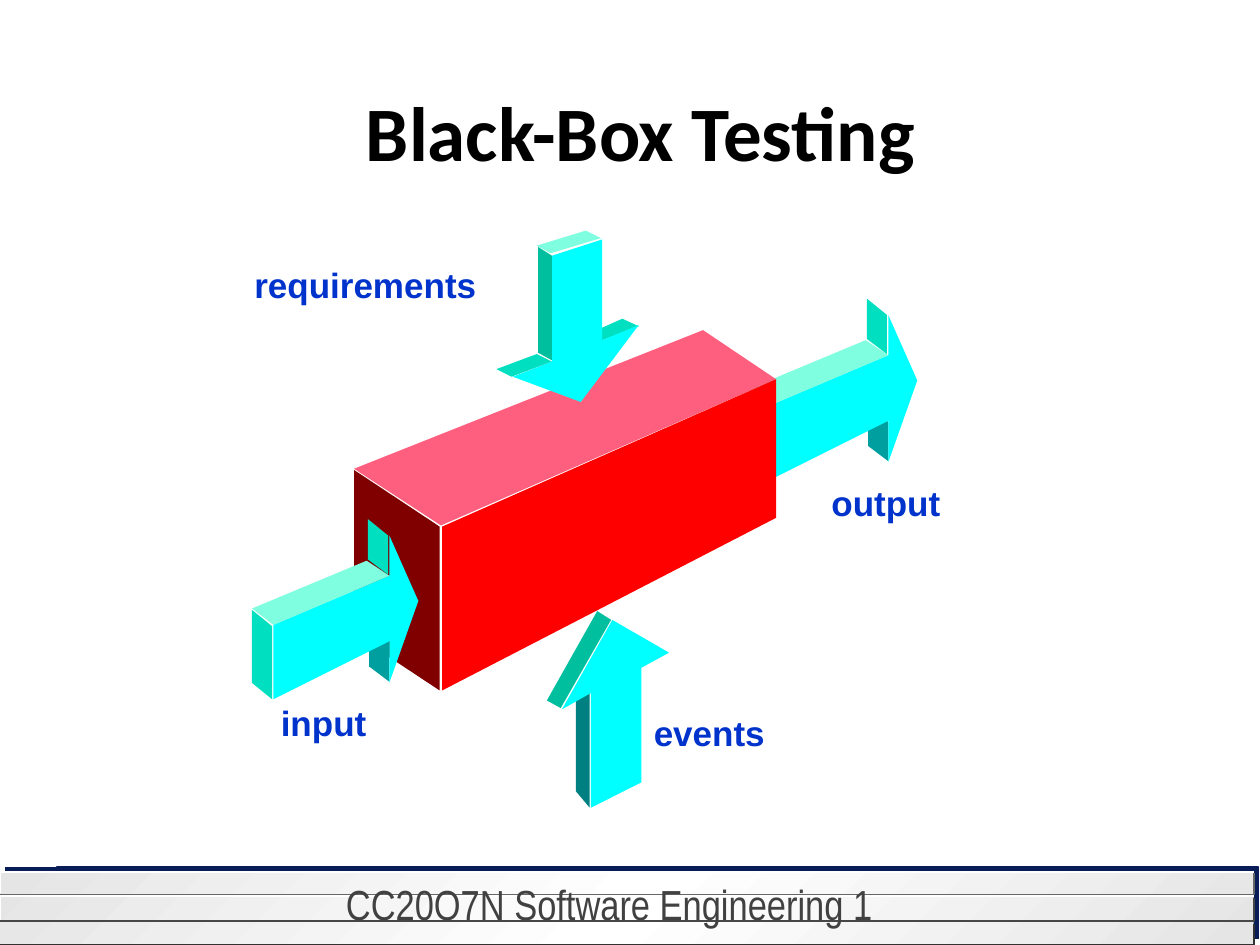
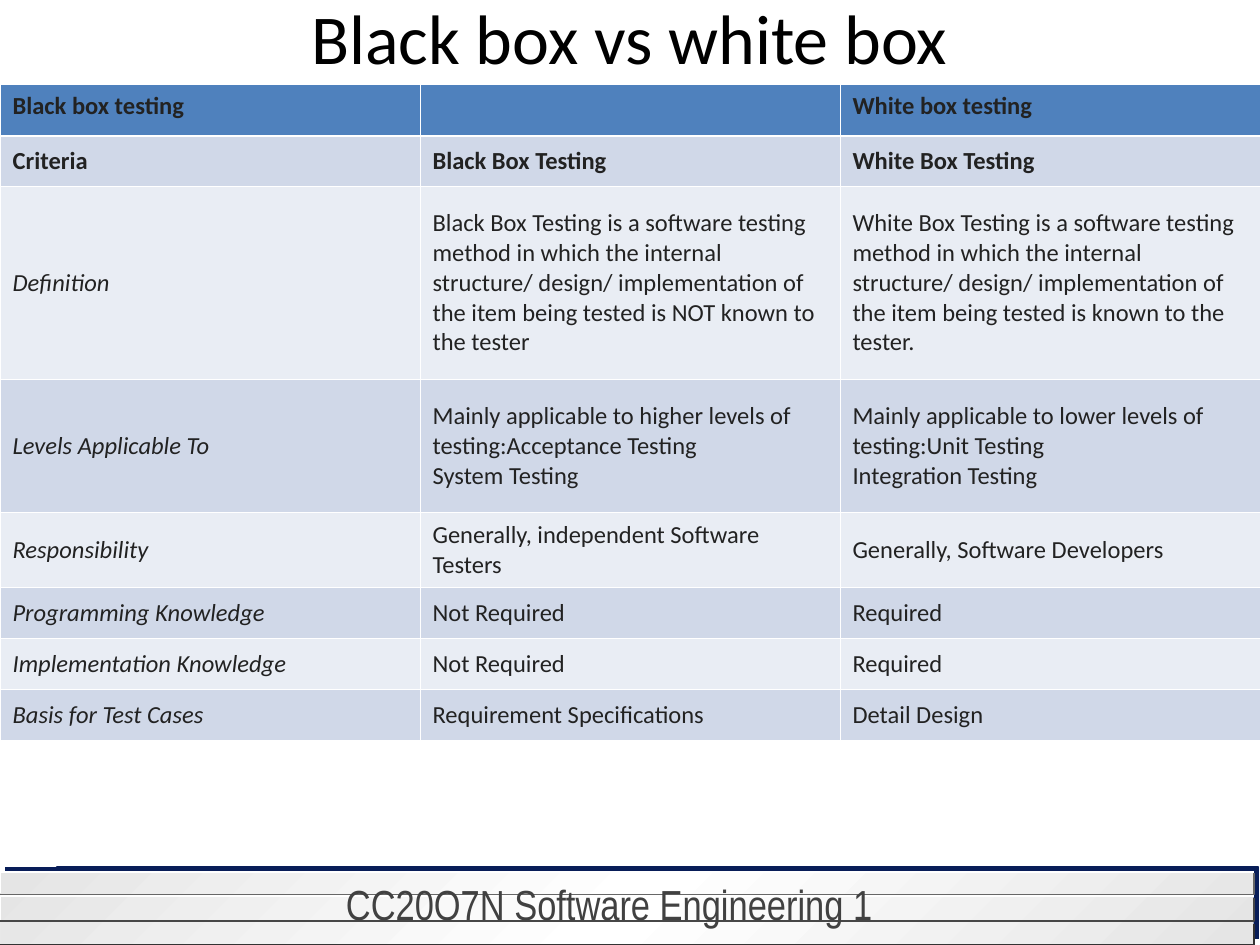
from pptx import Presentation
from pptx.dml.color import RGBColor
from pptx.enum.shapes import MSO_SHAPE as Shape
from pptx.enum.text import MSO_ANCHOR as Anchor, MSO_AUTO_SIZE as AutoSize, PP_ALIGN as Align
from pptx.oxml import parse_xml
from pptx.util import Inches, Pt

BLACK = RGBColor(0x00, 0x00, 0x00)
WHITE = RGBColor(0xFF, 0xFF, 0xFF)
FOOTER_GREY = RGBColor(0x41, 0x41, 0x41)
BAND_EDGE = RGBColor(0xE5, 0xE5, 0xE5)
BAND_SHADOW = RGBColor(0x08, 0x1D, 0x58)
PALE_LINE = RGBColor(0xE8, 0xE8, 0xE8)
MID_LINE = RGBColor(0x67, 0x67, 0x67)
DIM_LINE = RGBColor(0x47, 0x47, 0x47)
DARK_LINE = RGBColor(0x33, 0x33, 0x33)
LABEL_BLUE = RGBColor(0x00, 0x33, 0xCC)
CYAN = RGBColor(0x00, 0xFF, 0xFF)
MINT = RGBColor(0x7F, 0xFF, 0xDF)
TURQUOISE = RGBColor(0x00, 0xDF, 0xBF)
SEA_GREEN = RGBColor(0x00, 0xBF, 0x9F)
TEAL = RGBColor(0x00, 0x9F, 0x9F)
DEEP_TEAL = RGBColor(0x00, 0x80, 0x80)
RED = RGBColor(0xFF, 0x00, 0x00)
PINK = RGBColor(0xFF, 0x5F, 0x7F)
MAROON = RGBColor(0x80, 0x00, 0x00)
HEADER_BLUE = RGBColor(0x4F, 0x81, 0xBD)
ROW_DARK = RGBColor(0xD0, 0xD8, 0xE8)
ROW_LIGHT = RGBColor(0xE9, 0xED, 0xF4)
CELL_TEXT = RGBColor(0x22, 0x22, 0x22)

DRAWING_NS = 'xmlns:a="http://schemas.openxmlformats.org/drawingml/2006/main"'

FOOTER = "CC20O7N Software Engineering 1"
BAND_RIGHT = 9.95
BAND_HIGHLIGHTS = [(6.92, 7.09, WHITE), (7.11, 7.3, WHITE), (7.31, 7.49, PALE_LINE)]
BAND_LOWLIGHTS = [(6.93, 7.1, MID_LINE), (7.13, 7.31, DIM_LINE), (7.33, 7.5, DARK_LINE)]

FLOW_ARROW = [
    (TEAL, [(0.92, 1.16), (0.92, 0.85), (0.76, 0.72), (0.76, 1.04)]),
    (CYAN, [(0.92, 0.32), (0, 0.71), (0, 1.3), (0.92, 0.84), (0.92, 1.17),
            (1.15, 0.52), (0.92, 0)]),
    (TURQUOISE, [(-0.01, 0.72), (-0.01, 1.3), (-0.17, 1.17), (-0.17, 0.59)]),
    (MINT, [(-0.17, 0.58), (0, 0.71), (0.92, 0.32), (0.74, 0.2)]),
    (TURQUOISE, [(0.91, 0), (0.75, -0.13), (0.75, 0.19), (0.91, 0.31)]),
]
EVENTS_ARROW = [
    (DEEP_TEAL, [(4.68, 6.41), (4.68, 5.5), (4.57, 5.44), (4.57, 6.28)]),
    (CYAN, [(4.86, 4.92), (5.31, 5.18), (5.09, 5.3), (5.09, 6.21), (4.69, 6.41),
            (4.69, 5.5), (4.46, 5.63)]),
    (SEA_GREEN, [(4.45, 5.62), (4.34, 5.56), (4.74, 4.85), (4.85, 4.92)]),
]
BOX = [
    (MAROON, [(2.81, 3.73), (3.49, 4.18), (3.49, 5.48), (2.81, 5.03)]),
    (PINK, [(2.81, 3.72), (3.5, 4.17), (6.16, 3.01), (5.58, 2.62)]),
    (RED, [(3.51, 4.18), (3.51, 5.48), (6.16, 4.11), (6.16, 3.01)]),
]
REQUIREMENTS_ARROW = [
    (MINT, [(4.26, 1.95), (4.37, 2.01), (4.77, 1.89), (4.65, 1.83)]),
    (TURQUOISE, [(4.78, 2.7), (5.07, 2.59), (4.94, 2.53), (4.67, 2.65)]),
    (CYAN, [(4.38, 2.03), (4.78, 1.9), (4.78, 2.7), (5.07, 2.58), (4.61, 3.19),
            (4.07, 2.99), (4.38, 2.87)]),
    (TURQUOISE, [(4.06, 2.99), (3.94, 2.93), (4.26, 2.81), (4.38, 2.87)]),
    (SEA_GREEN, [(4.27, 2.8), (4.38, 2.86), (4.38, 2.03), (4.27, 1.96)]),
]
DIAGRAM = [
    (FLOW_ARROW, 6.13, 2.5),
    (EVENTS_ARROW, 0, 0),
    (BOX, 0, 0),
    (REQUIREMENTS_ARROW, 0, 0),
    (FLOW_ARROW, 2.17, 4.25),
]
LABELS = [
    ("requirements", 1.92, 2.04, 1.96),
    ("events", 5.09, 5.6, 1.08),
    ("input", 2.13, 5.52, 0.88),
    ("output", 6.5, 3.77, 1.08),
]

COMPARISON = [
    (0.41, "Black box testing", "", "White box testing"),
    (0.4, "Criteria", "Black Box Testing", "White Box Testing"),
    (1.53, "Definition",
     "Black Box Testing is a software testing method in which the internal structure/ design/ "
     "implementation of the item being tested is NOT known to the tester",
     "White Box Testing is a software testing method in which the internal structure/ design/ "
     "implementation of the item being tested is known to the tester."),
    (1.06, "Levels Applicable To",
     "Mainly applicable to higher levels of testing:Acceptance Testing\nSystem Testing",
     "Mainly applicable to lower levels of testing:Unit Testing\nIntegration Testing"),
    (0.59, "Responsibility", "Generally, independent Software Testers",
     "Generally, Software Developers"),
    (0.41, "Programming Knowledge", "Not Required", "Required"),
    (0.4, "Implementation Knowledge", "Not Required", "Required"),
    (0.41, "Basis for Test Cases", "Requirement Specifications", "Detail Design"),
]


def style_font(paragraph, name, size, color, bold=False, italic=False):
    font = paragraph.font
    font.name, font.size, font.bold, font.italic = name, Pt(size), bold, italic
    font.color.rgb = color


def add_outline(slide, points, close):
    corners = [(Inches(x), Inches(y)) for x, y in points]
    builder = slide.shapes.build_freeform(*corners[0])
    builder.add_line_segments(corners[1:], close=close)
    shape = builder.convert_to_shape()
    shape.shadow.inherit = False
    return shape


def add_line(slide, points, color):
    shape = add_outline(slide, points, close=False)
    shape.fill.background()
    shape.line.color.rgb = color
    shape.line.width = Pt(1)


def add_face(slide, points, color):
    shape = add_outline(slide, points, close=True)
    shape.fill.solid()
    shape.fill.fore_color.rgb = color
    shape.line.fill.background()


def add_text(slide, text, left, top, width, height, wrap):
    shape = slide.shapes.add_textbox(*map(Inches, (left, top, width, height)))
    frame = shape.text_frame
    frame.word_wrap = wrap
    frame.auto_size = AutoSize.SHAPE_TO_FIT_TEXT
    frame.text = text
    return frame.paragraphs[0]


def add_footer(slide):
    add_line(slide, [(9.91, 7.23), (9.91, 7.5), (0, 7.5)], DARK_LINE)
    band = slide.shapes.add_shape(
        Shape.RECTANGLE, 0, Inches(6.92), Inches(BAND_RIGHT), Inches(0.57))
    stops = "".join(
        f'<a:gs pos="{position}"><a:srgbClr val="{color}"/></a:gs>'
        for position, color in [(0, BAND_EDGE), (50000, WHITE), (100000, BAND_EDGE)])
    properties = band._element.spPr
    properties.append(parse_xml(
        f'<a:gradFill {DRAWING_NS}><a:gsLst>{stops}</a:gsLst>'
        '<a:lin ang="2700000" scaled="0"/></a:gradFill>'))
    band.line.fill.background()
    properties.append(parse_xml(
        f'<a:effectLst {DRAWING_NS}><a:outerShdw dist="{Pt(4.2)}" dir="18900000">'
        f'<a:srgbClr val="{BAND_SHADOW}"/></a:outerShdw></a:effectLst>'))
    for top, bottom, color in BAND_HIGHLIGHTS:
        add_line(slide, [(0, bottom), (0, top), (BAND_RIGHT, top)], color)
    for top, bottom, color in BAND_LOWLIGHTS:
        add_line(slide, [(BAND_RIGHT, top), (BAND_RIGHT, bottom), (0, bottom)], color)
    paragraph = add_text(slide, FOOTER, 0.5, 6.92, 8.67, 0.5, wrap=True)
    paragraph.alignment = Align.CENTER
    paragraph.space_before = Pt(15)
    style_font(paragraph, "Arial Narrow", 24, FOOTER_GREY)


def add_slide(presentation, title, box, size, bold):
    slide = presentation.slides.add_slide(presentation.slide_layouts.get_by_name("Title Only"))
    add_footer(slide)
    shape = slide.shapes.title
    shape.left, shape.top, shape.width, shape.height = map(Inches, box)
    frame = shape.text_frame
    frame.text = title
    frame.auto_size = AutoSize.NONE
    frame.vertical_anchor = Anchor.MIDDLE
    frame.paragraphs[0].alignment = Align.CENTER
    style_font(frame.paragraphs[0], "Calibri", size, BLACK, bold)
    return slide


def add_diagram(slide):
    for faces, left, top in DIAGRAM:
        for color, points in faces:
            add_face(slide, [(left + x, top + y) for x, y in points], color)
    for text, left, top, width in LABELS:
        paragraph = add_text(slide, text, left, top, width, 0.43, wrap=False)
        style_font(paragraph, "Arial", 20, LABEL_BLUE, bold=True)


def set_borders(cell, row):
    widths = {"L": 0.45, "R": 0.45,
              "T": 1.47 if row == 1 else 0.45,
              "B": 1.47 if row == 0 else 0.45}
    properties = cell._tc.get_or_add_tcPr()
    for side, width in widths.items():
        properties.append(parse_xml(
            f'<a:ln{side} {DRAWING_NS} w="{Pt(width)}"><a:solidFill>'
            f'<a:srgbClr val="{WHITE}"/></a:solidFill></a:ln{side}>'))


def row_color(row):
    if row == 0:
        return HEADER_BLUE
    return ROW_DARK if row % 2 else ROW_LIGHT


def add_comparison(slide):
    heights = [height for height, *_ in COMPARISON]
    table = slide.shapes.add_table(
        len(COMPARISON), 3, 0, Inches(0.67), Inches(10), Inches(sum(heights))).table
    for row, (height, *texts) in enumerate(COMPARISON):
        table.rows[row].height = Inches(height)
        for column, text in enumerate(texts):
            cell = table.cell(row, column)
            set_borders(cell, row)
            cell.fill.solid()
            cell.fill.fore_color.rgb = row_color(row)
            cell.vertical_anchor = Anchor.MIDDLE if row else Anchor.TOP
            cell.text = text
            for paragraph in cell.text_frame.paragraphs:
                style_font(paragraph, "Calibri", 14, CELL_TEXT,
                           bold=row < 2, italic=row >= 2 and column == 0)


def main():
    presentation = Presentation()
    presentation.slide_width, presentation.slide_height = Inches(10), Inches(7.5)
    add_diagram(add_slide(
        presentation, "Black-Box Testing", (0.67, 0.5, 8.83, 1.08), 44, bold=True))
    add_comparison(add_slide(
        presentation, "Black box vs white box", (0.58, 0, 8.83, 0.58), 40, bold=False))
    presentation.save("out.pptx")


if __name__ == "__main__":
    main()
